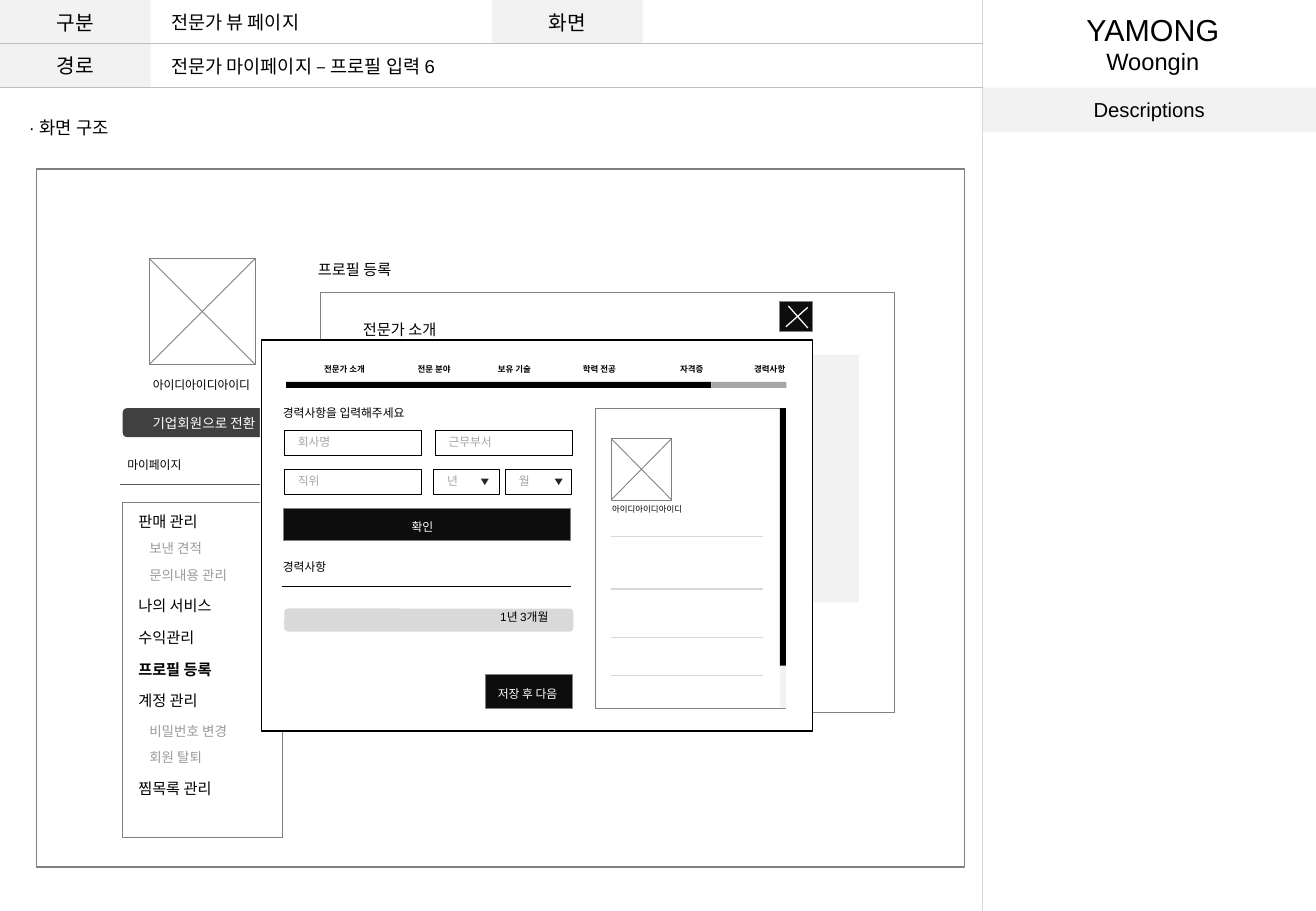
"""Build the expert profile input wireframe slide."""
from dataclasses import dataclass

from lxml import etree
from pptx import Presentation
from pptx.dml.color import RGBColor
from pptx.enum.shapes import MSO_CONNECTOR, MSO_SHAPE
from pptx.enum.text import MSO_ANCHOR, MSO_AUTO_SIZE, PP_ALIGN
from pptx.oxml.ns import qn
from pptx.slide import Slide
from pptx.text.text import TextFrame
from pptx.util import Pt

RECT = MSO_SHAPE.RECTANGLE
ROUNDED = MSO_SHAPE.ROUNDED_RECTANGLE
ARROW = MSO_SHAPE.ISOSCELES_TRIANGLE
STRAIGHT = MSO_CONNECTOR.STRAIGHT
MIDDLE = MSO_ANCHOR.MIDDLE
GROW = MSO_AUTO_SIZE.SHAPE_TO_FIT_TEXT
LEFT, CENTER = PP_ALIGN.LEFT, PP_ALIGN.CENTER


@dataclass(frozen=True)
class Theme:
    """Colours, font and type sizes of the slide."""
    font: str = "Arial"
    black: str = "000000"
    white: str = "FFFFFF"
    cross: str = "FDFDFD"
    button: str = "0D0D0D"
    arrow: str = "262626"
    pill: str = "404040"
    profile_rule: str = "595959"
    outline: str = "808080"
    submenu: str = "9B9B9B"
    hint: str = "A6A6A6"
    header_rule: str = "BFBFBF"
    pale_rule: str = "D9D9D9"
    panel: str = "F2F2F2"
    brand: float = 18
    team: float = 14
    header: float = 12
    title: float = 11
    section: float = 10.5
    menu: float = 9
    submenu_size: float = 8
    small: float = 7
    tiny: float = 5


T = Theme()


@dataclass(frozen=True)
class Box:
    """A preset shape with optional centred text."""
    x: float
    y: float
    w: float
    h: float
    fill: str | None = None
    line: str | None = None
    weight: float = 0.5
    kind: MSO_SHAPE = RECT
    rotation: float = 0
    text: str = ""
    size: float = T.header
    color: str = T.black


@dataclass(frozen=True)
class Rule:
    """A straight line between two points."""
    x1: float
    y1: float
    x2: float
    y2: float
    color: str
    weight: float = 0.75


@dataclass(frozen=True)
class Label:
    """A text box whose paragraphs are sized one by one."""
    text: str
    x: float
    y: float
    w: float
    h: float
    sizes: tuple[float, ...]
    color: str = T.black
    bold: bool = False
    wrap: bool = False
    align: PP_ALIGN = LEFT


Part = Box | Rule | Label


def rgb(color: str) -> RGBColor:
    """Turn a hex value into a colour."""
    return RGBColor.from_string(color)


def write(frame: TextFrame, text: str, sizes: tuple[float, ...], color: str,
          align: PP_ALIGN, bold: bool = False) -> None:
    """Fill a text frame and format its runs."""
    frame.text = text
    for paragraph, size in zip(frame.paragraphs, sizes):
        paragraph.alignment = align
        for run in paragraph.runs:
            run.font.name = T.font
            run.font.size = Pt(size)
            run.font.bold = bold
            run.font.color.rgb = rgb(color)


def draw_box(slide: Slide, box: Box) -> None:
    """Draw a preset shape."""
    shape = slide.shapes.add_shape(box.kind, Pt(box.x), Pt(box.y), Pt(box.w), Pt(box.h))
    shape.shadow.inherit = False
    shape.rotation = box.rotation
    if box.fill:
        shape.fill.solid()
        shape.fill.fore_color.rgb = rgb(box.fill)
    else:
        shape.fill.background()
    if box.line:
        shape.line.color.rgb = rgb(box.line)
        shape.line.width = Pt(box.weight)
    else:
        shape.line.fill.background()
    if box.text:
        shape.text_frame.vertical_anchor = MIDDLE
        write(shape.text_frame, box.text, (box.size,), box.color, CENTER)


def draw_rule(slide: Slide, rule: Rule) -> None:
    """Draw a straight line without a shadow."""
    line = slide.shapes.add_connector(
        STRAIGHT, Pt(rule.x1), Pt(rule.y1), Pt(rule.x2), Pt(rule.y2))
    line.line.color.rgb = rgb(rule.color)
    line.line.width = Pt(rule.weight)
    etree.SubElement(line._element.spPr, qn("a:effectLst"))


def draw_label(slide: Slide, label: Label) -> None:
    """Draw a text box that grows with its text."""
    frame = slide.shapes.add_textbox(
        Pt(label.x), Pt(label.y), Pt(label.w), Pt(label.h)).text_frame
    frame.word_wrap = label.wrap
    frame.auto_size = GROW
    write(frame, label.text, label.sizes, label.color, label.align, label.bold)


def photo(x: float, y: float, w: float, h: float) -> list[Part]:
    """Return a crossed photo placeholder."""
    return [Box(x, y, w, h, line=T.outline),
            Rule(x, y + h, x + w, y, T.outline, 0.5),
            Rule(x + w, y + h, x, y, T.outline, 0.5)]


def small(text: str, x: float, y: float, w: float, color: str = T.black) -> Label:
    """Return a one-line form label."""
    return Label(text, x, y, w, 15.8, (T.small,), color)


def header() -> list[Part]:
    """Return the page header and the description column."""
    row, cell, split = 26, 89.3, 582.5
    cells = [("구분", 0, 0, cell), ("화면", 291.6, 0, cell), ("경로", 0, row, cell),
             ("Descriptions", split, 2 * row, 780 - split)]
    return [*(Box(x, y, w, row, T.panel, text=text) for text, x, y, w in cells),
            Rule(split, 0, split, 540, T.pale_rule),
            *(Rule(0, y, split, y, T.header_rule) for y in (row, 2 * row)),
            Label("YAMONG\nWoongin", 635.8, 2.9, 95, 46, (T.brand, T.team), align=CENTER),
            Label("· 화면 구조", 10.1, 65.5, 68.4, 20.9, (T.section,)),
            Label("전문가 뷰 페이지", 94.3, 2.9, 98.6, 20.9, (T.title,)),
            Label("전문가 마이페이지 – 프로필 입력 6", 94.3, 28.8, 186.5, 20.9, (T.title,))]


def page() -> list[Part]:
    """Return the page that lies behind the dialog."""
    return [Box(72.7, 298, 95, 198.7, line=T.outline),
            Box(21.6, 100.1, 550.1, 414, line=T.outline, weight=1),
            *photo(88.6, 153.4, 62.6, 62.6),
            Label("아이디아이디아이디", 83.5, 220.3, 95.8, 38.9, (T.small,), wrap=True),
            Box(72.7, 241.9, 96.5, 17.3, T.pill, kind=ROUNDED, text="기업회원으로 전환",
                size=T.submenu_size, color=T.white),
            Rule(71.3, 287.3, 173.5, 287.3, T.profile_rule),
            Label("프로필 등록", 181.4, 150.5, 62.6, 18, (T.menu,)),
            small("마이페이지", 68.4, 267.8, 49.7),
            Box(190.1, 173.5, 339.8, 249.1, line=T.outline),
            Box(214.6, 210.2, 294.5, 146.9, T.panel),
            Label("전문가 소개", 208.1, 186.5, 64.8, 18, (T.menu,))]


def dialog() -> list[Part]:
    """Return the dialog with its progress bar and preview."""
    tabs = [("전문가 소개", 185, 41), ("전문 분야", 240.5, 36), ("보유 기술", 288, 36),
            ("학력 전공", 338.4, 36), ("자격증", 396, 29.5), ("경력사항", 439.9, 34.6)]
    step = 50.4
    return [Box(154.1, 201.6, 326.9, 231.8, T.white),
            Box(154.8, 201.6, 326.9, 231.8, T.white, T.black, 0.75),
            Box(352.8, 241.9, 113, 177.8, line=T.outline),
            Box(462.2, 241.9, 3.6, 153.4, T.black),
            Box(462.2, 394.6, 3.6, 25.2, T.panel),
            *photo(362.2, 259.9, 36, 36.5),
            *(Rule(362.2, y, 452.2, y, T.pale_rule) for y in (318.2, 349.2, 378, 400.3)),
            *(Box(169.6 + i * step, 226.4, step, 3.6, T.black) for i in range(5)),
            Box(169.6 + 5 * step, 226.4, 44.6, 3.6, T.hint),
            *(Label(text, x, 212.4, w, 13.7, (T.tiny,), bold=True) for text, x, w in tabs),
            Label("아이디아이디아이디", 355.7, 295.2, 69.8, 19.4, (T.tiny,), wrap=True),
            Box(462.2, 178.6, 19.4, 18, T.button, T.outline),
            Rule(465.8, 193.7, 478.8, 182.2, T.cross),
            Rule(467.3, 181.4, 478.8, 194.4, T.cross)]


def form() -> list[Part]:
    """Return the career form of the dialog."""
    fields = [("회사명", 168.5, 254.9, 81.4, 36), ("근무부서", 257.8, 254.9, 81.4, 42.5),
              ("직위", 168.5, 277.9, 81.4, 28.8), ("년", 257, 277.9, 38.9, 21.6),
              ("월", 299.5, 277.9, 38.9, 21.6)]
    return [small("경력사항을 입력해주세요", 160.6, 236.9, 94.3),
            *(Box(x, y, w, 15.1, line=T.black, weight=0.25) for _, x, y, w, _ in fields),
            *(small(text, x + 1, y - 0.7, w, T.hint) for text, x, y, _, w in fields),
            *(Box(x, 283.7, 4.7, 3.8, T.arrow, kind=ARROW, rotation=180)
              for x in (285, 328.8)),
            Box(167.8, 301.7, 170.6, 18.7, T.button, T.outline),
            small("확인", 236.9, 304.6, 28.8, T.white),
            small("경력사항", 160.6, 328.3, 42.5),
            Rule(167, 347.8, 338.4, 347.8, T.black),
            Box(168.5, 360.7, 171.4, 13.7, T.pale_rule, kind=ROUNDED),
            Label("1년 3개월", 289.4, 357.8, 64.1, 15.8, (T.small,), wrap=True),
            Box(288, 399.6, 51.1, 20.2, T.button, T.outline),
            small("저장 후 다음", 288, 403.2, 54, T.white)]


def menu() -> list[Part]:
    """Return the side menu entries."""
    entries = [("판매 관리", 300.2, 53.3), ("나의 서비스", 349.9, 62.6),
               ("수익관리", 368.6, 51.1), ("프로필 등록", 388.1, 62.6),
               ("계정 관리", 406.1, 53.3), ("찜목록 관리", 458.6, 62.6)]
    subentries = [("보낸 견적", 316.8, 49.7), ("문의내용 관리", 332.6, 65.5),
                  ("비밀번호 변경", 424.8, 64.8), ("회원 탈퇴", 440.6, 49)]
    return [*(Label(text, 74.9, y, w, 18, (T.menu,), bold=text == "프로필 등록")
              for text, y, w in entries),
            *(Label(text, 81.4, y, w, 16.6, (T.submenu_size,), T.submenu)
              for text, y, w in subentries)]


def main() -> None:
    """Draw every part and save the slide."""
    deck = Presentation()
    deck.slide_width, deck.slide_height = Pt(780), Pt(540)
    slide = deck.slides.add_slide(deck.slide_layouts[6])
    painters = {Box: draw_box, Rule: draw_rule, Label: draw_label}
    for part in [*header(), *page(), *dialog(), *form(), *menu()]:
        painters[type(part)](slide, part)
    deck.save("out.pptx")


if __name__ == "__main__":
    main()
